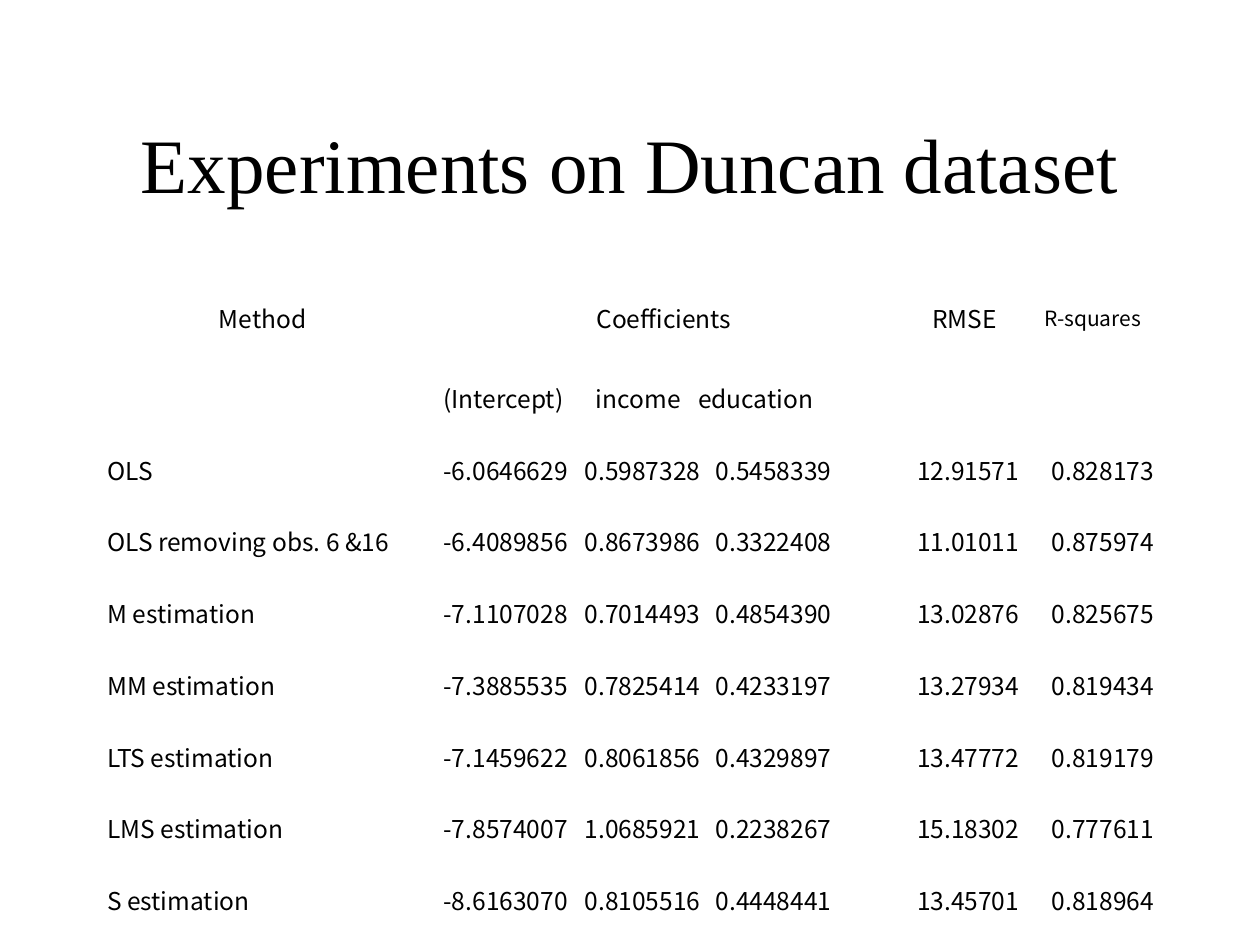
from dataclasses import dataclass

from lxml.etree import SubElement
from pptx import Presentation
from pptx.dml.color import RGBColor
from pptx.enum.text import MSO_ANCHOR, PP_ALIGN
from pptx.oxml.ns import qn
from pptx.util import Inches, Pt


@dataclass(frozen=True)
class Theme:
    text: RGBColor = RGBColor(0, 0, 0)
    title_font: str = "Times New Roman"
    table_font: str = "Noto Sans CJK KR"
    title_size: int = 44
    table_size: int = 14
    small_size: int = 12


THEME = Theme()
COLUMN_WIDTHS = (2.67, 3.7, 1.07, 1.07)
HEADER_HEIGHT, ROW_HEIGHT = 0.7, 0.57
HEADER_TABS = (1.21, 2.02)
VALUE_TABS = (1.12, 2.16)

HEADERS = ("Method", "Coefficients", "RMSE", "R-squares")
COEFFICIENT_NAMES = ("(Intercept)", "income", "education")
RESULTS = (
    ("OLS", ("-6.0646629", "0.5987328", "0.5458339"), "12.91571", "0.828173"),
    ("OLS removing obs. 6 &16", ("-6.4089856", "0.8673986", "0.3322408"), "11.01011", "0.875974"),
    ("M estimation", ("-7.1107028", "0.7014493", "0.4854390"), "13.02876", "0.825675"),
    ("MM estimation", ("-7.3885535", "0.7825414", "0.4233197"), "13.27934", "0.819434"),
    ("LTS estimation", ("-7.1459622", "0.8061856", "0.4329897"), "13.47772", "0.819179"),
    ("LMS estimation", ("-7.8574007", "1.0685921", "0.2238267"), "15.18302", "0.777611"),
    ("S estimation", ("-8.6163070", "0.8105516", "0.4448441"), "13.45701", "0.818964"),
)


def style_font(paragraph, name, size):
    for run in paragraph.runs:
        run.font.name = name
        run.font.size = Pt(size)
        run.font.color.rgb = THEME.text


def add_title(slide, text):
    title = slide.shapes.title
    title.left, title.top = Inches(0.75), Inches(0.67)
    title.width, title.height = Inches(8.5), Inches(1.25)
    title.text_frame.text = text
    title.text_frame.vertical_anchor = MSO_ANCHOR.MIDDLE
    paragraph = title.text_frame.paragraphs[0]
    paragraph.alignment = PP_ALIGN.CENTER
    style_font(paragraph, THEME.title_font, THEME.title_size)


def set_tab_stops(paragraph, positions):
    tab_list = SubElement(paragraph._p.get_or_add_pPr(), qn("a:tabLst"))
    for position in positions:
        SubElement(tab_list, qn("a:tab"), pos=str(Inches(position)), algn="l")


def fill_cell(cell, text, alignment=PP_ALIGN.LEFT, size=THEME.table_size, tabs=()):
    paragraph = cell.text_frame.paragraphs[0]
    paragraph.text = text
    paragraph.alignment = alignment
    if tabs:
        set_tab_stops(paragraph, tabs)
    style_font(paragraph, THEME.table_font, size)


def add_plain_table(slide, row_count):
    """Add a table without fills, banding or header style."""
    heights = [HEADER_HEIGHT] + [ROW_HEIGHT] * (row_count - 1)
    table = slide.shapes.add_table(
        row_count, len(COLUMN_WIDTHS), Inches(0.75), Inches(2.17),
        Inches(sum(COLUMN_WIDTHS)), Inches(sum(heights))).table
    table.first_row = table.horz_banding = False
    for column, width in zip(table.columns, COLUMN_WIDTHS):
        column.width = Inches(width)
    for row, height in zip(table.rows, heights):
        row.height = Inches(height)
    for cell in table.iter_cells():
        cell.fill.background()
        cell.vertical_anchor = MSO_ANCHOR.MIDDLE
    return table


def add_results_table(slide):
    table = add_plain_table(slide, len(RESULTS) + 2)
    for column, header in enumerate(HEADERS[:-1]):
        fill_cell(table.cell(0, column), header, PP_ALIGN.CENTER)
    fill_cell(table.cell(0, 3), HEADERS[-1], size=THEME.small_size)
    fill_cell(table.cell(1, 1), "\t".join(COEFFICIENT_NAMES), tabs=HEADER_TABS)
    for row, (method, coefficients, rmse, r_squared) in enumerate(RESULTS, start=2):
        fill_cell(table.cell(row, 0), method)
        fill_cell(table.cell(row, 1), "\t".join(coefficients), tabs=VALUE_TABS)
        fill_cell(table.cell(row, 2), rmse, PP_ALIGN.RIGHT)
        fill_cell(table.cell(row, 3), r_squared, PP_ALIGN.RIGHT)


def main():
    presentation = Presentation()
    presentation.slide_width, presentation.slide_height = Inches(10), Inches(7.5)
    slide = presentation.slides.add_slide(presentation.slide_layouts[5])
    add_title(slide, "Experiments on Duncan dataset")
    add_results_table(slide)
    presentation.save("out.pptx")


if __name__ == "__main__":
    main()
